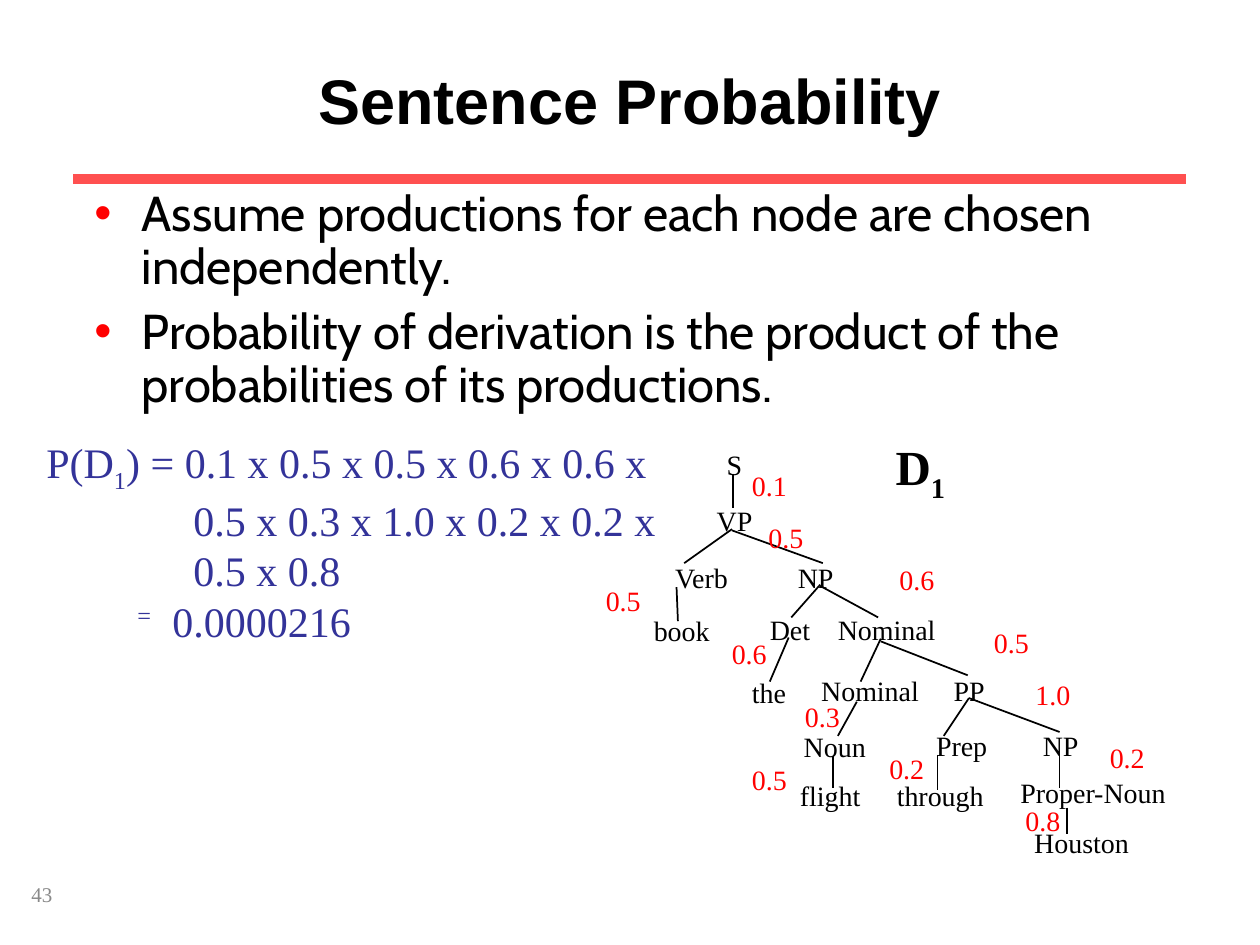
import pptx
import pptx.dml.color
import pptx.enum.shapes
import pptx.enum.text
import pptx.oxml.ns
import pptx.util
from lxml import etree

Pt = pptx.util.Pt
RGB = pptx.dml.color.RGBColor
qn = pptx.oxml.ns.qn

COLORS = {"ink": "000000", "rule": "FF5050", "probability": "FF0000",
          "formula": "333399", "page": "898989"}
SERIF = "Times New Roman"

deck = pptx.Presentation()
deck.slide_width, deck.slide_height = Pt(720), Pt(540)
slide = deck.slides.add_slide(deck.slide_layouts[5])


def add_text(left, top, width, height, paragraphs, size, color, font=SERIF,
             bold=False, wrap=False, inset=(7.2, 3.6)):
    """Add a text box; each paragraph is a list of (text, baseline percent) runs."""
    frame = slide.shapes.add_textbox(Pt(left), Pt(top), Pt(width), Pt(height)).text_frame
    frame.word_wrap = wrap
    if not wrap:
        frame.auto_size = pptx.enum.text.MSO_AUTO_SIZE.SHAPE_TO_FIT_TEXT
    frame.margin_left = frame.margin_right = Pt(inset[0])
    frame.margin_top = frame.margin_bottom = Pt(inset[1])
    for index, runs in enumerate(paragraphs):
        paragraph = frame.add_paragraph() if index else frame.paragraphs[0]
        paragraph.font.size, paragraph.font.name = Pt(size), font
        paragraph.font.bold = bold
        paragraph.font.color.rgb = RGB.from_string(COLORS[color])
        for text, baseline in runs:
            run = paragraph.add_run()
            run.text = text
            if baseline:
                run.font._element.set("baseline", str(baseline * 1000))
    return frame


def add_line(x1, y1, x2, y2, color, width):
    line = slide.shapes.add_connector(pptx.enum.shapes.MSO_CONNECTOR.STRAIGHT,
                                      Pt(x1), Pt(y1), Pt(x2), Pt(y2))
    line.line.color.rgb = RGB.from_string(COLORS[color])
    line.line.width = Pt(width)
    etree.SubElement(line._element.spPr, qn("a:effectLst"))


# Heading, rule and page number
add_line(42, 102.2, 678, 102.2, "rule", 6)
add_text(18, 504, 150, 36, [[("43", 0)]], 12, "page", wrap=True, inset=(0, 0))

title = slide.shapes.title
title.left, title.top, title.width, title.height = Pt(54), Pt(18), Pt(612), Pt(78)
heading = title.text_frame
heading.text = "Sentence Probability"
heading.margin_left = heading.margin_right = heading.margin_top = heading.margin_bottom = 0
heading.vertical_anchor = pptx.enum.text.MSO_ANCHOR.MIDDLE
heading.paragraphs[0].alignment = pptx.enum.text.PP_ALIGN.CENTER
heading_font = heading.paragraphs[0].font
heading_font.name, heading_font.size, heading_font.bold = "Arial", Pt(36), True
heading_font.color.rgb = RGB.from_string(COLORS["ink"])

# Assumptions
assumptions = add_text(54, 108, 612, 146, [
    [("Assume productions for each node are chosen independently.", 0)],
    [("Probability of derivation is the product of the probabilities of its productions.", 0)],
], 28, "ink", font="Cabin", wrap=True, inset=(0, 0))
for paragraph in assumptions.paragraphs:
    paragraph.line_spacing, paragraph.space_before = 0.9, Pt(7)
    properties = paragraph._p.get_or_add_pPr()
    properties.set("marL", str(Pt(27)))
    properties.set("indent", str(Pt(-27)))
    bullet_color = etree.Element(qn("a:buClr"))
    etree.SubElement(bullet_color, qn("a:srgbClr"), val=COLORS["probability"])
    bullet_font = etree.Element(qn("a:buFont"), typeface="Arial")
    bullet = etree.Element(qn("a:buChar"), char="•")
    spacing_end = properties.index(properties.find(qn("a:spcBef"))) + 1
    properties[spacing_end:spacing_end] = [bullet_color, bullet_font, bullet]

# Probability of the derivation
formula = add_text(19.4, 246.2, 368, 127, [
    [("P(D", 0), ("1", -25), (") = 0.1 x 0.5 x 0.5 x 0.6 x 0.6 x", 0)],
    [("0.5 x 0.3 x 1.0 x 0.2 x 0.2 x", 0)],
    [("0.5 x 0.8", 0)],
    [("=", 30), ("\t0.0000216", 0)],
], 24, "formula")
for paragraph, (margin, indent) in zip(formula.paragraphs[1:], [(84, 0), (84, 0), (72, -20)]):
    properties = paragraph._p.get_or_add_pPr()
    properties.set("marL", str(Pt(margin)))
    properties.set("indent", str(Pt(indent)))

add_text(504.7, 246.2, 42.5, 45, [[("D", 0), ("1", -25)]], 28, "ink", bold=True)

# Parse tree: node, left, top, width
nodes = [
    ("S", 408.2, 252, 23.3), ("VP", 402.5, 284.4, 34.8),
    ("Verb", 378.7, 316.8, 44.6), ("NP", 448.8, 316.8, 34.9),
    ("book", 366.5, 347, 46.4), ("Det", 432.8, 346.3, 37.8), ("Nominal", 471.7, 346.3, 70.4),
    ("the", 422.6, 382.3, 34), ("Nominal", 462.2, 381.6, 70.4), ("PP", 537.9, 381.6, 32.6),
    ("Noun", 452.2, 413.3, 50), ("Prep", 527.8, 412.6, 43.6), ("NP", 588.8, 412.6, 34.9),
    ("flight", 450, 441.4, 49), ("through", 505.4, 441.4, 64),
    ("Proper-Noun", 576, 439.9, 98), ("Houston", 583.9, 468, 68.4),
]
for word, left, top, width in nodes:
    add_text(left, top, width, 26.6, [[(word, 0)]], 16, "ink")

branches = [
    (419, 270.7, 419, 290.2), (418.3, 302.4, 391, 321.8), (418.3, 303.1, 470.2, 321.8),
    (386.6, 335.5, 387.4, 355), (468.7, 334.1, 452.2, 352.8), (468.7, 334.8, 501.8, 352.8),
    (450.7, 364.3, 439.9, 389.5), (503.3, 365, 491.8, 389.5), (503.3, 366.5, 553, 385.9),
    (489.6, 401, 478.8, 420.5), (475.9, 432, 475.9, 450), (553.7, 398.9, 539.3, 420.5),
    (553.7, 398.9, 605.5, 418.3), (535.7, 431.3, 535.7, 451.4), (605.5, 430.6, 605.5, 450),
    (609.8, 461.5, 609.8, 476.6),
]
for branch in branches:
    add_line(*branch, "ink", 1)

# Production probabilities: value, left, top
probabilities = [
    ("0.1", 422.6, 264.2), ("0.5", 432, 293.8), ("0.5", 339.1, 329.8), ("0.6", 506.9, 318.2),
    ("0.6", 411.1, 360), ("0.5", 560.9, 354.2), ("1.0", 584.6, 383.8), ("0.2", 627.1, 419.8),
    ("0.3", 452.9, 396), ("0.5", 422.6, 432), ("0.2", 501.1, 426.2), ("0.8", 578.9, 455.8),
]
for value, left, top in probabilities:
    add_text(left, top, 34.4, 26.6, [[(value, 0)]], 16, "probability")

deck.save("out.pptx")
